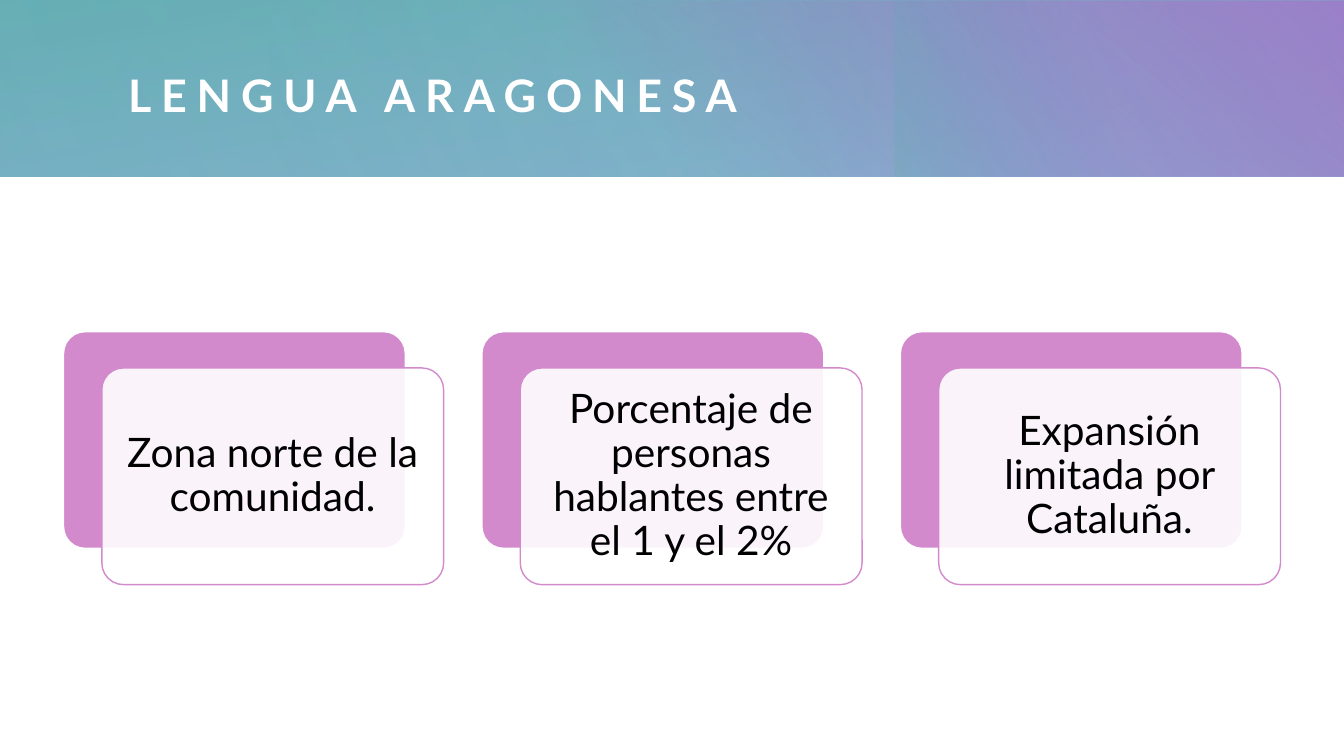
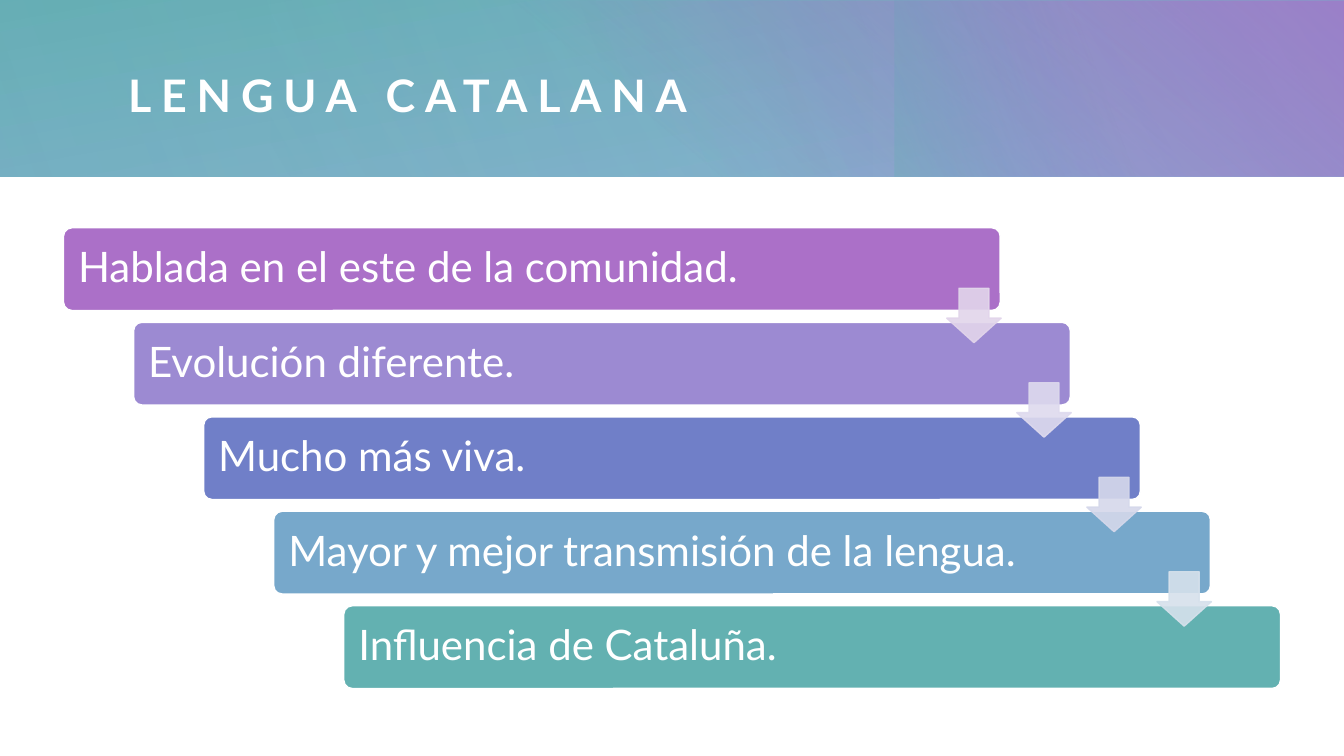
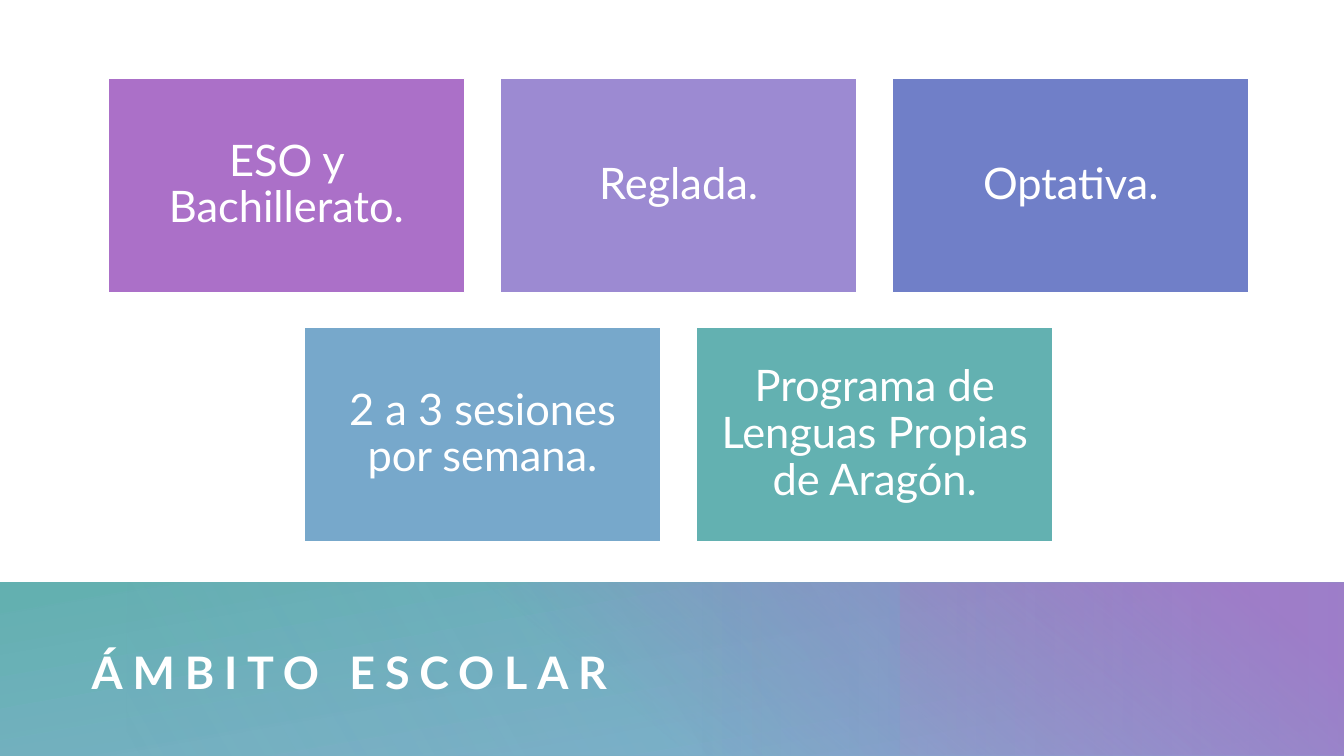
import pptx
import pptx.dml.color
import pptx.enum.shapes
import pptx.enum.text
import pptx.oxml
import pptx.oxml.ns
import pptx.util

Inches = pptx.util.Inches
Pt = pptx.util.Pt
SHAPES = pptx.enum.shapes.MSO_SHAPE
ALIGN = pptx.enum.text.PP_ALIGN

# Content
ARAGONESE = [
    "Zona norte de la comunidad.",
    "Porcentaje de personas hablantes entre el 1 y el 2%",
    "Expansión limitada por Cataluña.",
]
CATALAN = [
    "Hablada en el este de la comunidad.",
    "Evolución diferente.",
    "Mucho más viva.",
    "Mayor y mejor transmisión de la lengua.",
    "Influencia de Cataluña.",
]
SCHOOL_ROWS = [
    ["ESO y Bachillerato.", "Reglada.", "Optativa."],
    ["2 a 3 sesiones por semana.", "Programa de Lenguas Propias de Aragón."],
]

# Shared style
FONT = "Lato"
WHITE, BLACK, PINK = "FFFFFF", "000000", "D28ACC"
PURPLE, LILAC, INDIGO, BLUE, TEAL = "AB70C8", "9C8AD2", "707FC8", "77A8CB", "63B1B1"
SERIES = [PURPLE, LILAC, INDIGO, BLUE, TEAL]
ARROW_COLOURS = ["E2D5EB", "DEDAEE", "D5D8EB", "D6E1EC"]

# Band layers: left, top, width, height, rotation, gradient angle,
# then stops of position, colour and opacity in percent
TOP_BAND = [
    (0, 0, 13.33, 1.75, 0, 260, [(0, BLUE, 83), (100, TEAL, 100)]),
    (4.81, 0.01, 8.52, 1.74, 0, 310, [(22, PURPLE, 0), (99, PURPLE, 100)]),
    (9.87, -0.99, 1.75, 3.74, 270, 250, [(45, INDIGO, 0), (99, TEAL, 33)]),
    (2.68, 0, 10.64, 1.75, 180, 330, [(0, BLUE, 30), (99, BLUE, 0)]),
    (0, 0, 8.65, 1.75, 0, 340, [(0, BLUE, 21), (99, BLUE, 0)]),
]
BOTTOM_BAND = [
    (0, 5.78, 13.33, 1.72, 0, 260, [(0, BLUE, 88), (100, TEAL, 100)]),
    (4.42, 5.78, 8.91, 1.72, 0, 310, [(22, PURPLE, 0), (91, PURPLE, 100)]),
    (1.25, 5.78, 7.67, 1.72, 180, 330, [(0, BLUE, 30), (99, BLUE, 0)]),
    (4.42, 5.78, 8.91, 1.72, 180, 0, [(0, BLUE, 26), (72, BLUE, 0)]),
]
TOP_TITLE = (1.27, 0.41, 11.35, 1.06)
BOTTOM_TITLE = (0.91, 6.18, 11.58, 0.96)


def paint(fill, colour, opacity=100):
    fill.solid()
    fill.fore_color.rgb = pptx.dml.color.RGBColor.from_string(colour)
    if opacity < 100:
        tag = fill._xPr.find(".//" + pptx.oxml.ns.qn("a:srgbClr"))
        alpha = tag.makeelement(pptx.oxml.ns.qn("a:alpha"), {"val": str(opacity * 1000)})
        tag.append(alpha)


def paint_gradient(shape, angle, stops):
    stop_xml = "".join(
        f'<a:gs pos="{position * 1000}"><a:srgbClr val="{colour}">'
        f'<a:alpha val="{opacity * 1000}"/></a:srgbClr></a:gs>'
        for position, colour, opacity in stops)
    gradient = pptx.oxml.parse_xml(
        f'<a:gradFill {pptx.oxml.ns.nsdecls("a")} rotWithShape="1">'
        f'<a:gsLst>{stop_xml}</a:gsLst>'
        f'<a:lin ang="{angle * 60000}" scaled="0"/></a:gradFill>')
    shape.fill.background()
    properties = shape._element.spPr
    properties.replace(properties.find(pptx.oxml.ns.qn("a:noFill")), gradient)


def add_block(page, kind, place, colour, line=WHITE, opacity=100, line_opacity=100,
              adjustments=()):
    block = page.shapes.add_shape(kind, *map(Inches, place))
    block.shadow.inherit = False
    paint(block.fill, colour, opacity)
    paint(block.line.fill, line, line_opacity)
    block.line.width = Pt(1)
    for index, value in enumerate(adjustments):
        block.adjustments[index] = value
    return block


def write(shape, text, size, colour, align=ALIGN.LEFT, inset=0, spacing=0.9):
    frame = shape.text_frame
    frame.text = text
    frame.word_wrap = True
    frame.auto_size = pptx.enum.text.MSO_AUTO_SIZE.NONE
    frame.vertical_anchor = pptx.enum.text.MSO_ANCHOR.MIDDLE
    frame.margin_left = frame.margin_right = Inches(inset)
    frame.margin_top = frame.margin_bottom = Inches(inset)
    para = frame.paragraphs[0]
    para.alignment = align
    para.line_spacing = spacing
    font = para.runs[0].font
    font.name, font.size = FONT, Pt(size)
    paint(font.fill, colour)
    return para.runs[0]


def add_page(title_text, band, title_place):
    page = deck.slides.add_slide(deck.slide_layouts[5])
    for left, top, width, height, rotation, angle, stops in band:
        layer = page.shapes.add_shape(SHAPES.RECTANGLE, *map(Inches, (left, top, width, height)))
        layer.shadow.inherit = False
        layer.line.fill.background()
        layer.rotation = rotation
        paint_gradient(layer, angle, stops)
    title = page.shapes.title
    title.left, title.top, title.width, title.height = map(Inches, title_place)
    span = write(title, title_text, 32, WHITE, spacing=1.0)
    span.font.bold = True
    span._r.get_or_add_rPr().set("spc", "700")
    page.shapes._spTree.append(title._element)  # title in front of the band
    return page


deck = pptx.Presentation()
deck.slide_width, deck.slide_height = Inches(13.33), Inches(7.5)

# Slide 1: three cards, each over an offset backing
page = add_page("LENGUA ARAGONESA", TOP_BAND, TOP_TITLE)
card_width, card_height, card_pitch = 3.39, 2.15, 4.15
for index, text in enumerate(ARAGONESE):
    left, top = 0.63 + index * card_pitch, 3.29
    add_block(page, SHAPES.ROUNDED_RECTANGLE, (left, top, card_width, card_height),
              PINK, adjustments=[0.1])
    card = add_block(page, SHAPES.ROUNDED_RECTANGLE,
                     (left + 0.38, top + 0.36, card_width, card_height),
                     WHITE, line=PINK, opacity=90, adjustments=[0.1])
    write(card, text, 29, BLACK, ALIGN.CENTER, 0.12)

# Slide 2: staircase of bars joined by arrows
page = add_page("LENGUA CATALANA", TOP_BAND, TOP_TITLE)
bar_width, bar_height = 9.29, 0.82
first_left, first_top, last_left, last_top = 0.63, 2.26, 3.41, 6.01
steps = len(CATALAN) - 1
corners = [(first_left + index * (last_left - first_left) / steps,
            first_top + index * (last_top - first_top) / steps)
           for index in range(len(CATALAN))]
for text, colour, (left, top) in zip(CATALAN, SERIES, corners):
    bar = add_block(page, SHAPES.ROUNDED_RECTANGLE, (left, top, bar_width, bar_height),
                    colour, adjustments=[0.1])
    write(bar, text, 30, WHITE, inset=0.12)
for colour, (left, top) in zip(ARROW_COLOURS, corners):
    add_block(page, SHAPES.DOWN_ARROW, (left + bar_width - 0.53, top + 0.6, 0.54, 0.54),
              colour, line=colour, opacity=90, line_opacity=90, adjustments=[0.55, 0.45])

# Slide 3: centred rows of tiles
page = add_page("ÁMBITO ESCOLAR", BOTTOM_BAND, BOTTOM_TITLE)
tile_width, tile_height, gap, centre = 3.54, 2.12, 0.35, 6.73
colours = iter(SERIES)
for row, texts in enumerate(SCHOOL_ROWS):
    row_width = len(texts) * (tile_width + gap) - gap
    for column, text in enumerate(texts):
        left = centre - row_width / 2 + column * (tile_width + gap)
        top = 0.78 + row * (tile_height + gap)
        tile = add_block(page, SHAPES.RECTANGLE, (left, top, tile_width, tile_height),
                         next(colours))
        write(tile, text, 31, WHITE, ALIGN.CENTER, 0.13)

deck.save("out.pptx")
